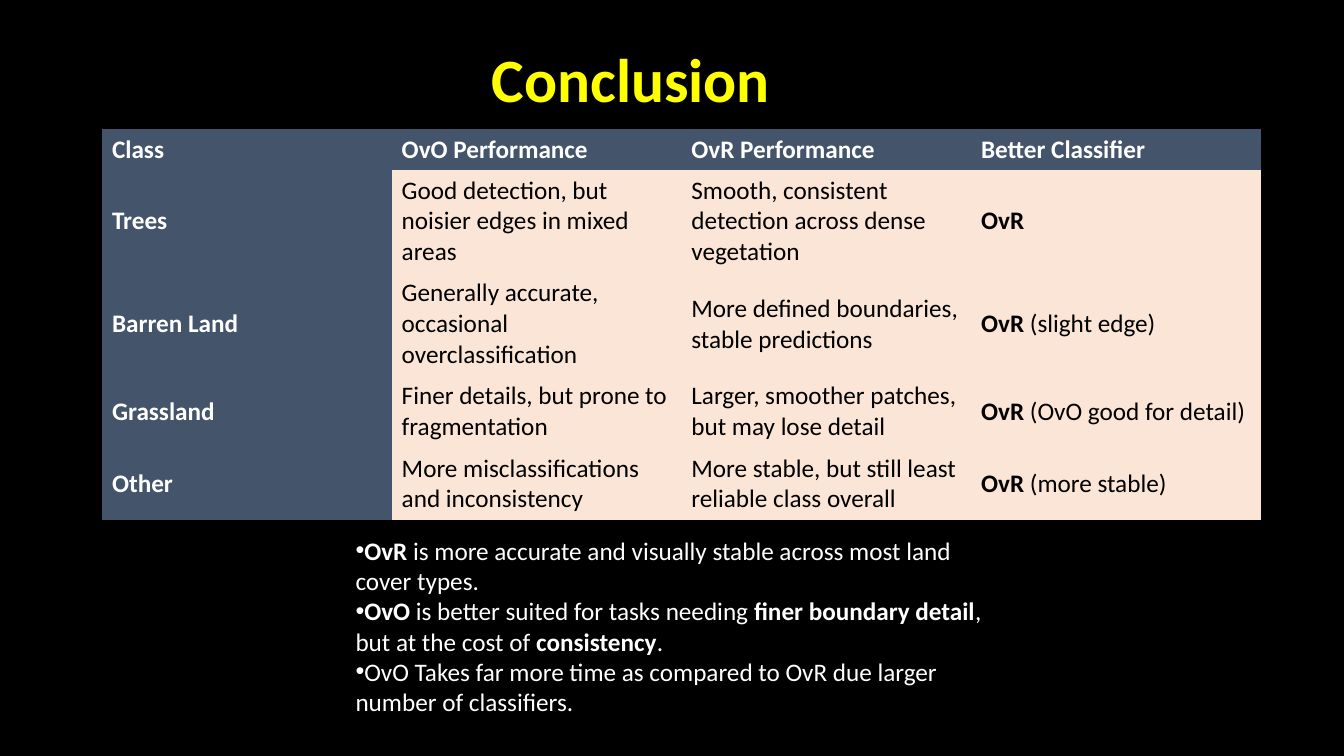
from lxml import etree
from pptx import Presentation
from pptx.dml import color
from pptx.enum import text
from pptx.oxml import ns
from pptx.util import Cm, Pt

FONT = "Calibri"
BLACK, WHITE, YELLOW = "000000", "FFFFFF", "FFFF00"
SLATE, PEACH = "44546A", "FBE5D6"
NO_GRID_STYLE = "{2D5ABB26-0587-4C30-8999-92F81FD0307C}"

HEADERS = ["Class", "OvO Performance", "OvR Performance", "Better Classifier"]
# Class, OvO performance, OvR performance, remark on the better classifier
CLASSES = [
    ("Trees", "Good detection, but noisier edges in mixed areas",
     "Smooth, consistent detection across dense vegetation", ""),
    ("Barren Land", "Generally accurate, occasional overclassification",
     "More defined boundaries, stable predictions", " (slight edge)"),
    ("Grassland", "Finer details, but prone to fragmentation",
     "Larger, smoother patches, but may lose detail", " (OvO good for detail)"),
    ("Other", "More misclassifications and inconsistency",
     "More stable, but still least reliable class overall", " (more stable)"),
]
ROW_HEIGHTS = [1.03, 2.59, 2.59, 1.82, 1.82]

# Each finding is a list of (words, bold)
FINDINGS = [
    [("OvR", True),
     (" is more accurate and visually stable across most land cover types.", False)],
    [("OvO", True), (" is better suited for tasks needing ", False),
     ("finer boundary detail", True), (", but at the cost of ", False),
     ("consistency", True), (".", False)],
    [("OvO Takes far more time as compared to OvR due larger number of classifiers.",
      False)],
]


def rgb(hex_colour):
    return color.RGBColor.from_string(hex_colour)


def add_runs(paragraph, runs, colour, size=18):
    for words, bold in runs:
        run = paragraph.add_run()
        run.text = words
        run.font.name = FONT
        run.font.size = Pt(size)
        run.font.bold = bold
        run.font.color.rgb = rgb(colour)


def add_bullet(paragraph):
    properties = paragraph._p.get_or_add_pPr()
    etree.SubElement(properties, ns.qn("a:buFont"), typeface="Arial")
    etree.SubElement(properties, ns.qn("a:buChar"), char="•")


def set_title(slide, words):
    title = slide.shapes.title
    title.left, title.top, title.width, title.height = Cm(12.14), Cm(0.23), Cm(8.05), Cm(3.68)
    frame = title.text_frame
    frame.auto_size = text.MSO_AUTO_SIZE.NONE
    frame.vertical_anchor = text.MSO_ANCHOR.MIDDLE
    paragraph = frame.paragraphs[0]
    paragraph.alignment = text.PP_ALIGN.LEFT
    paragraph.line_spacing = 0.9
    add_runs(paragraph, [(words, True)], YELLOW, 44)


def fill_cell(cell, runs, fill, colour):
    cell.fill.solid()
    cell.fill.fore_color.rgb = rgb(fill)
    cell.vertical_anchor = text.MSO_ANCHOR.MIDDLE
    add_runs(cell.text_frame.paragraphs[0], runs, colour)


def add_comparison(slide):
    table = slide.shapes.add_table(
        len(CLASSES) + 1, len(HEADERS), Cm(2.57), Cm(3.25),
        Cm(29.2), Cm(sum(ROW_HEIGHTS))).table
    table.horz_banding = False
    table._tbl.tblPr.find(ns.qn("a:tableStyleId")).text = NO_GRID_STYLE
    for row, height in zip(table.rows, ROW_HEIGHTS):
        row.height = Cm(height)
    for column, header in enumerate(HEADERS):
        fill_cell(table.cell(0, column), [(header, True)], SLATE, WHITE)
    for row, (name, ovo, ovr, remark) in enumerate(CLASSES, start=1):
        verdict = [("OvR", True)] + ([(remark, False)] if remark else [])
        fill_cell(table.cell(row, 0), [(name, True)], SLATE, WHITE)
        for column, runs in enumerate([[(ovo, False)], [(ovr, False)], verdict], start=1):
            fill_cell(table.cell(row, column), runs, PEACH, BLACK)


def add_findings(slide):
    frame = slide.shapes.add_textbox(Cm(8.71), Cm(13.36), Cm(16.94), Cm(4.88)).text_frame
    frame.word_wrap = True
    frame.auto_size = text.MSO_AUTO_SIZE.SHAPE_TO_FIT_TEXT
    for index, runs in enumerate(FINDINGS):
        paragraph = frame.add_paragraph() if index else frame.paragraphs[0]
        add_bullet(paragraph)
        add_runs(paragraph, runs, WHITE)


def main():
    presentation = Presentation()
    presentation.slide_width, presentation.slide_height = Cm(33.87), Cm(19.05)
    slide = presentation.slides.add_slide(presentation.slide_layouts[5])
    slide.background.fill.solid()
    slide.background.fill.fore_color.rgb = rgb(BLACK)
    set_title(slide, "Conclusion")
    add_comparison(slide)
    add_findings(slide)
    presentation.save("out.pptx")


if __name__ == "__main__":
    main()
